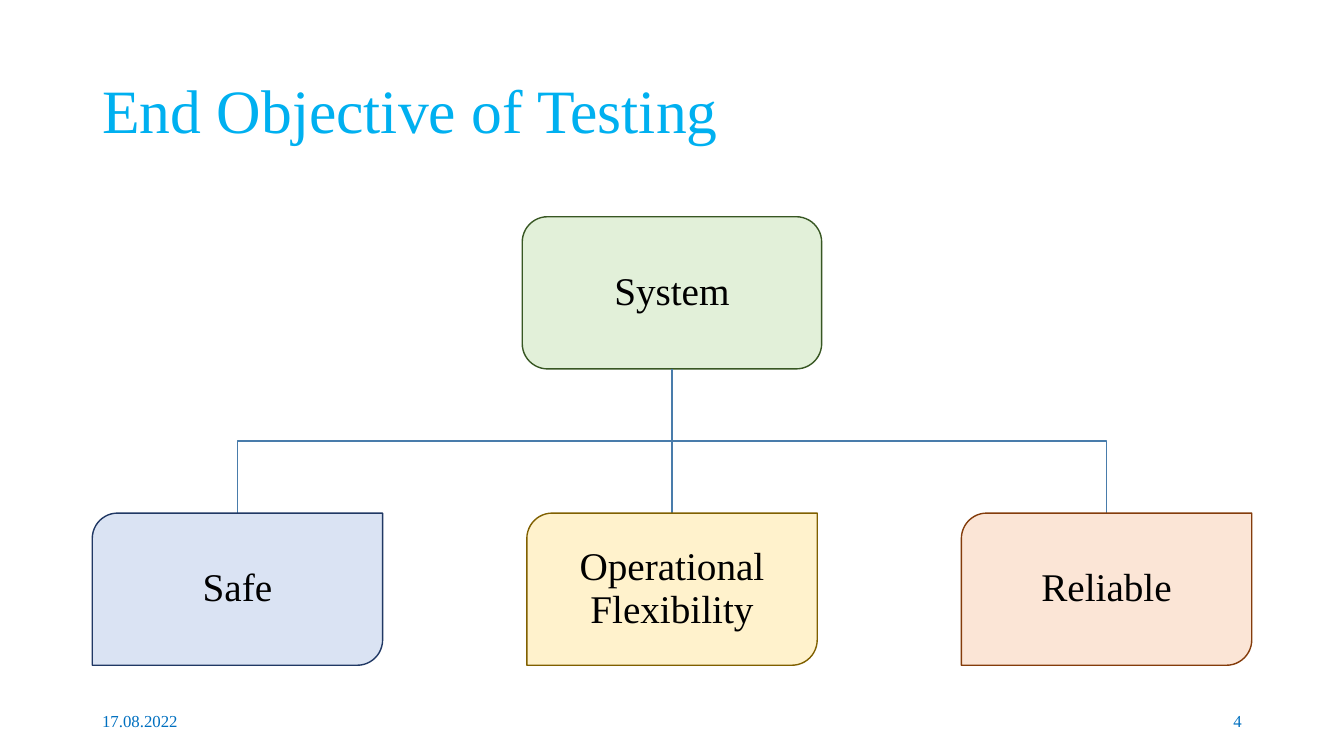
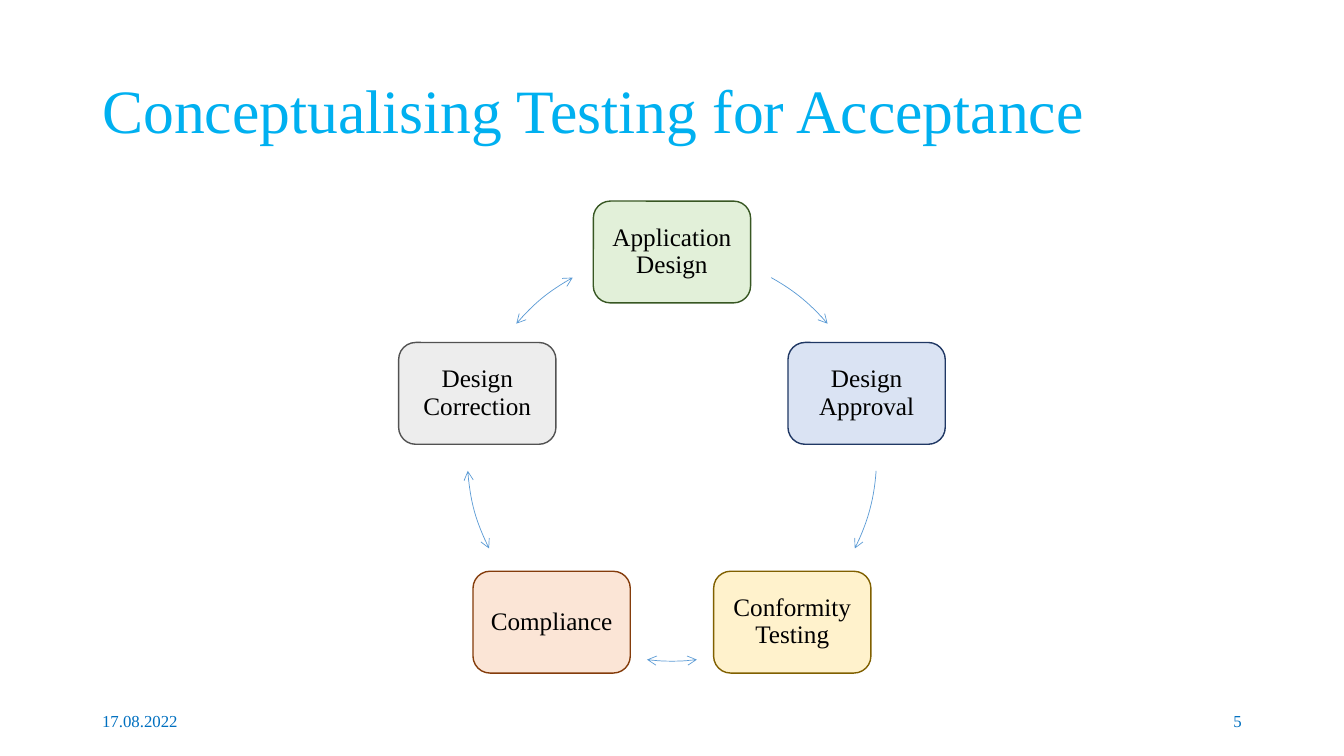
from dataclasses import dataclass
from math import cos, radians, sin

from lxml import etree
from pptx import Presentation
from pptx.dml.color import RGBColor
from pptx.enum.shapes import MSO_CONNECTOR, MSO_SHAPE
from pptx.enum.text import MSO_ANCHOR, MSO_AUTO_SIZE, PP_ALIGN
from pptx.oxml.ns import qn
from pptx.util import Inches, Pt

LEFT, CENTER, RIGHT = PP_ALIGN.LEFT, PP_ALIGN.CENTER, PP_ALIGN.RIGHT
MIDDLE = MSO_ANCHOR.MIDDLE
ROUND = MSO_SHAPE.ROUNDED_RECTANGLE
DIAGONAL = MSO_SHAPE.ROUND_2_DIAG_RECTANGLE
ARC = MSO_SHAPE.ARC
STRAIGHT = MSO_CONNECTOR.STRAIGHT
BOTTOM = 2


@dataclass(frozen=True)
class Paint:
    fill: str
    line: str


@dataclass(frozen=True)
class Theme:
    font: str = "Times New Roman"
    title: str = "00B0F0"
    footer: str = "0070C0"
    text: str = "000000"
    branch: str = "497CAB"
    arrow: str = "5B9BD5"
    title_size: int = 44
    tree_size: int = 28
    cycle_size: int = 18
    footer_size: int = 12
    green: Paint = Paint("E2F0D9", "385723")
    blue: Paint = Paint("DAE3F3", "203864")
    gold: Paint = Paint("FFF2CC", "806000")
    orange: Paint = Paint("FBE5D6", "843C0B")
    gray: Paint = Paint("EDEDED", "525252")


@dataclass(frozen=True)
class Node:
    text: str
    paint: Paint


@dataclass(frozen=True)
class Sweep:
    """Part of the ring, in degrees clockwise from the right."""
    start: float
    end: float
    double: bool


THEME = Theme()
PAGE_WIDTH, PAGE_HEIGHT = 13.33, 7.5
WIDTH = 11.5
MID = PAGE_WIDTH / 2
MARGIN = MID - WIDTH / 2

TREE_TOP, TREE_HEIGHT = 2.15, 1.51
ROOT_WIDTH, LEAF_WIDTH = 2.97, 2.88
LEAF_TOP, LEAF_STEP = 5.09, 4.31
ROOT = Node("System", THEME.green)
LEAVES = [
    Node("Safe", THEME.blue),
    Node("Operational Flexibility", THEME.gold),
    Node("Reliable", THEME.orange),
]

RING_Y, RADIUS = 4.53, 2.03
STEP_WIDTH, STEP_HEIGHT = 1.56, 1.01
STEPS = [
    Node("Application Design", THEME.green),
    Node("Design Approval", THEME.blue),
    Node("Conformity Testing", THEME.gold),
    Node("Compliance", THEME.orange),
    Node("Design Correction", THEME.gray),
]
SWEEPS = [
    Sweep(299, 319.5, False),
    Sweep(4, 26.7, False),
    Sweep(83, 97, True),
    Sweep(153.3, 176, True),
    Sweep(220.5, 241, True),
]


def color(code: str) -> RGBColor:
    return RGBColor.from_string(code)


def write(shape, text: str, size: int, code: str, align, inset: float = 0.1,
          spacing: float = 1.0) -> None:
    frame = shape.text_frame
    frame.text = text
    frame.word_wrap = True
    frame.auto_size = MSO_AUTO_SIZE.NONE
    frame.vertical_anchor = MIDDLE
    frame.margin_left = frame.margin_right = Inches(inset)
    frame.margin_top = frame.margin_bottom = Inches(min(inset, 0.05))
    par = frame.paragraphs[0]
    par.alignment = align
    par.line_spacing = spacing
    par.font.name = THEME.font
    par.font.size = Pt(size)
    par.font.color.rgb = color(code)


def stroke(line, code: str, width: float) -> None:
    line.color.rgb = color(code)
    line.width = Pt(width)


def add_page(deck, title: str, number: int):
    """Add a slide with its title, date and number."""
    slide = deck.slides.add_slide(deck.slide_layouts[5])
    head = slide.shapes.title
    head.left, head.top = Inches(MARGIN), Inches(0.4)
    head.width, head.height = Inches(WIDTH), Inches(1.45)
    write(head, title, THEME.title_size, THEME.title, LEFT, spacing=0.9)
    for text, left, align in (
        ("17.08.2022", MARGIN, LEFT),
        (str(number), MARGIN + WIDTH - 3, RIGHT),
    ):
        box = slide.shapes.add_textbox(
            Inches(left), Inches(6.95), Inches(3), Inches(0.4))
        write(box, text, THEME.footer_size, THEME.footer, align)
    return slide


def add_node(slide, node: Node, kind, mid: float, top: float, width: float,
             height: float, size: int, inset: float):
    box = slide.shapes.add_shape(
        kind, Inches(mid - width / 2), Inches(top),
        Inches(width), Inches(height))
    box.shadow.inherit = False
    box.fill.solid()
    box.fill.fore_color.rgb = color(node.paint.fill)
    stroke(box.line, node.paint.line, 1)
    write(box, node.text, size, THEME.text, CENTER, inset, 0.9)
    return box


def add_trunk(slide, root) -> None:
    """Join the root straight down to the middle leaf."""
    line = slide.shapes.add_connector(
        STRAIGHT, Inches(MID), Inches(TREE_TOP + TREE_HEIGHT),
        Inches(MID), Inches(LEAF_TOP))
    line.begin_connect(root, BOTTOM)
    stroke(line.line, THEME.branch, 1)
    etree.SubElement(line._element.spPr, qn("a:effectLst"))


def add_elbow(slide, mid: float) -> None:
    """Draw the bent branch from the root to an outer leaf."""
    base = TREE_TOP + TREE_HEIGHT
    rail = (base + LEAF_TOP) / 2
    pen = slide.shapes.build_freeform(Inches(MID), Inches(base))
    pen.add_line_segments(
        [(Inches(x), Inches(y))
         for x, y in ((MID, rail), (mid, rail), (mid, LEAF_TOP))],
        close=False)
    elbow = pen.convert_to_shape()
    elbow.shadow.inherit = False
    elbow.fill.background()
    stroke(elbow.line, THEME.branch, 1)


def add_sweep(slide, sweep: Sweep) -> None:
    arc = slide.shapes.add_shape(
        ARC, Inches(MID - RADIUS), Inches(RING_Y - RADIUS),
        Inches(2 * RADIUS), Inches(2 * RADIUS))
    # Angles are stored in 60000ths of a degree, adjustments in 100000ths.
    arc.adjustments[0] = sweep.start * 0.6
    arc.adjustments[1] = sweep.end * 0.6
    arc.shadow.inherit = False
    arc.fill.background()
    stroke(arc.line, THEME.arrow, 0.5)
    line = arc.line._get_or_add_ln()
    for tag in ("a:headEnd", "a:tailEnd") if sweep.double else ("a:tailEnd",):
        etree.SubElement(line, qn(tag), type="arrow")


def draw_tree(slide) -> None:
    root = add_node(slide, ROOT, ROUND, MID, TREE_TOP, ROOT_WIDTH,
                    TREE_HEIGHT, THEME.tree_size, 0.02)
    add_trunk(slide, root)
    for i, leaf in enumerate(LEAVES):
        mid = MID + (i - 1) * LEAF_STEP
        if mid != MID:
            add_elbow(slide, mid)
        add_node(slide, leaf, DIAGONAL, mid, LEAF_TOP, LEAF_WIDTH,
                 TREE_HEIGHT, THEME.tree_size, 0.02)


def draw_cycle(slide) -> None:
    for i, (step, sweep) in enumerate(zip(STEPS, SWEEPS)):
        angle = radians(360 / len(STEPS) * i - 90)
        mid = MID + RADIUS * cos(angle)
        top = RING_Y + RADIUS * sin(angle) - STEP_HEIGHT / 2
        add_node(slide, step, ROUND, mid, top, STEP_WIDTH, STEP_HEIGHT,
                 THEME.cycle_size, 0.07)
        add_sweep(slide, sweep)


def main() -> None:
    deck = Presentation()
    deck.slide_width = Inches(PAGE_WIDTH)
    deck.slide_height = Inches(PAGE_HEIGHT)
    draw_tree(add_page(deck, "End Objective of Testing", 4))
    draw_cycle(add_page(deck, "Conceptualising Testing for Acceptance", 5))
    deck.save("out.pptx")


if __name__ == "__main__":
    main()
